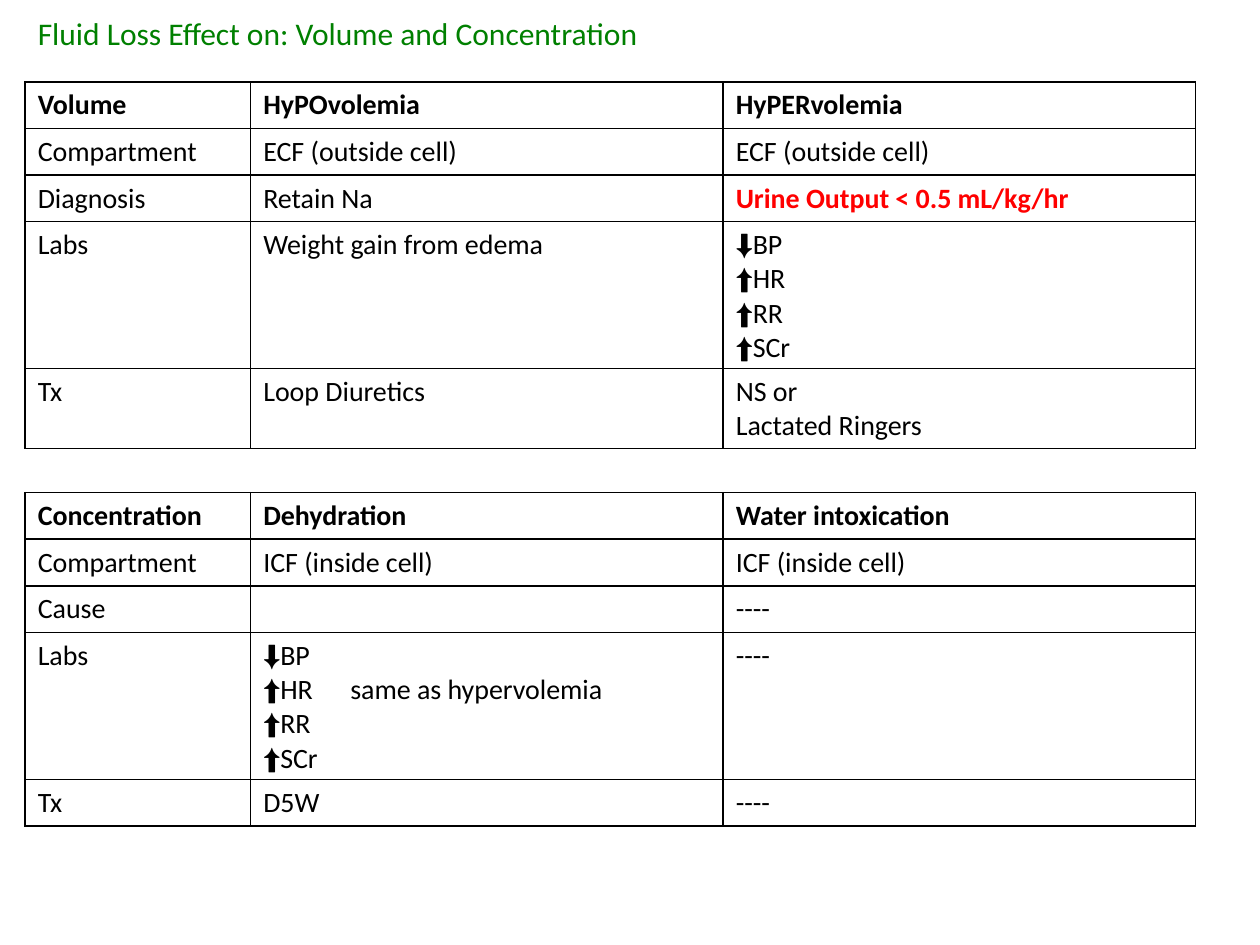
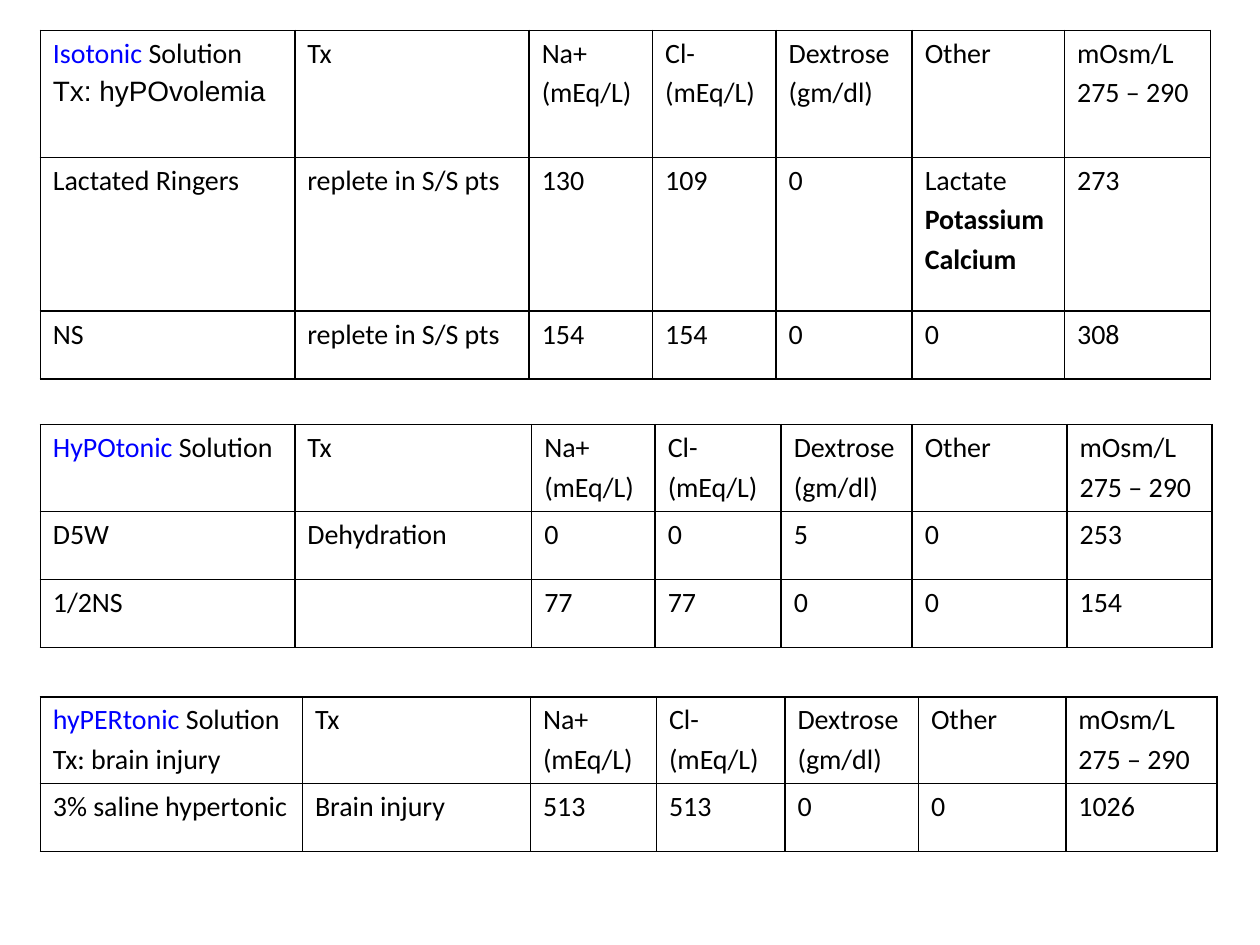
from dataclasses import dataclass
from lxml import etree
from pptx import Presentation
from pptx.dml.color import RGBColor
from pptx.enum.text import MSO_ANCHOR, MSO_AUTO_SIZE, PP_ALIGN
from pptx.oxml.ns import qn
from pptx.util import Inches, Pt

TOP = MSO_ANCHOR.TOP
LEFT = PP_ALIGN.LEFT
FIT = MSO_AUTO_SIZE.SHAPE_TO_FIT_TEXT
TITLE_ONLY, BLANK = 5, 6


@dataclass(frozen=True)
class Theme:
    font: str = "Calibri"
    alt_font: str = "Arial"
    text: str = "000000"
    title: str = "008000"
    accent: str = "0000FF"
    alert: str = "FF0000"
    title_size: float = 18
    body_size: float = 16
    border: float = 1
    tab: float = 0.69


@dataclass(frozen=True)
class Span:
    text: str
    color: str = None
    bold: bool = None
    font: str = None


THEME = Theme()


def set_font(font, name=None, color=None, bold=None, size=None):
    if name:
        font.name = name
    if color:
        font.color.rgb = RGBColor.from_string(color)
    if bold is not None:
        font.bold = bold
    if size:
        font.size = Pt(size)


class Deck:
    def __init__(self, theme):
        self.theme = theme
        self.prs = Presentation()
        self.prs.slide_width, self.prs.slide_height = Inches(10), Inches(7.5)
        self.slide = None

    def add_slide(self, layout):
        self.slide = self.prs.slides.add_slide(self.prs.slide_layouts[layout])

    def title(self, text, left, top, width, height):
        t = self.theme
        sp = self.slide.shapes.title
        sp.left, sp.top = Inches(left), Inches(top)
        sp.width, sp.height = Inches(width), Inches(height)
        tf = sp.text_frame
        tf.text = text
        tf.word_wrap = False
        tf.auto_size = FIT
        tf.vertical_anchor = TOP
        p = tf.paragraphs[0]
        p.alignment = LEFT
        set_font(p.font, t.font, t.title, False, t.title_size)

    def table(self, left, top, widths, heights, rows, gap=0, bold_header=False):
        frame = self.slide.shapes.add_table(
            len(rows), len(widths), Inches(left), Inches(top),
            Inches(sum(widths)), Inches(sum(heights)))
        tbl = frame.table
        tbl.first_row = tbl.horz_banding = False
        for column, width in zip(tbl.columns, widths):
            column.width = Inches(width)
        for i, (row, height) in enumerate(zip(rows, heights)):
            tbl.rows[i].height = Inches(height)
            for j, content in enumerate(row):
                self.cell(tbl.cell(i, j), content, gap, bold_header and i == 0)

    def cell(self, cell, content, gap, bold):
        cell.fill.background()
        cell.vertical_anchor = TOP
        self.borders(cell)
        tf = cell.text_frame
        paragraphs = content if isinstance(content, list) else [content]
        for i, paragraph in enumerate(paragraphs):
            p = tf.add_paragraph() if i else tf.paragraphs[0]
            if i and gap:
                p.space_before = Pt(gap)
            self.paragraph(p, paragraph, bold)

    def paragraph(self, p, content, bold):
        t = self.theme
        spans = content if isinstance(content, tuple) else (content,)
        spans = [Span(s) if isinstance(s, str) else s for s in spans]
        if any("\t" in s.text for s in spans):
            tabs = etree.SubElement(p._p.get_or_add_pPr(), qn("a:tabLst"))
            etree.SubElement(tabs, qn("a:tab"), pos=str(Inches(t.tab)), algn="l")
        set_font(p.font, t.font, t.text, bold, t.body_size)
        for s in spans:
            if not s.text:
                continue
            r = p.add_run()
            r.text = s.text
            if len(spans) == 1:
                set_font(p.font, s.font, s.color, s.bold)
            else:
                set_font(r.font, s.font, s.color, s.bold)

    def borders(self, cell):
        tcPr = cell._tc.get_or_add_tcPr()
        for i, side in enumerate(("lnL", "lnR", "lnT", "lnB")):
            ln = etree.Element(qn(f"a:{side}"), w=str(Pt(self.theme.border)))
            fill = etree.SubElement(ln, qn("a:solidFill"))
            etree.SubElement(fill, qn("a:srgbClr"), val=self.theme.text)
            tcPr.insert(i, ln)


def vital_signs(note=""):
    up = Span("⬆", font=THEME.alt_font)
    return ["⬇BP", (up, "HR" + note), (up, "RR"), (up, "SCr")]


def solution_header(*name):
    return [list(name), "Tx", ["Na+", "(mEq/L)"], ["Cl-", "(mEq/L)"],
            ["Dextrose", "(gm/dl)"], "Other", ["mOsm/L", "275 – 290"]]


def fluid_loss_slide(deck):
    deck.add_slide(TITLE_ONLY)
    deck.title("Fluid Loss Effect on: Volume and Concentration", 0.2, 0.06, 5.04, 0.4)
    widths = [1.79, 3.75, 3.75]
    line, labs = 0.37, 1.16
    volume = [
        ["Volume", "HyPOvolemia", "HyPERvolemia"],
        ["Compartment", "ECF (outside cell)", "ECF (outside cell)"],
        ["Diagnosis", "Retain Na",
         Span("Urine Output < 0.5 mL/kg/hr", THEME.alert, True)],
        ["Labs", "Weight gain from edema", vital_signs()],
        ["Tx", "Loop Diuretics", ["NS or", "Lactated Ringers"]],
    ]
    concentration = [
        ["Concentration", "Dehydration", "Water intoxication"],
        ["Compartment", "ICF (inside cell)", "ICF (inside cell)"],
        ["Cause", "", "----"],
        ["Labs", vital_signs("\tsame as hypervolemia"), "----"],
        ["Tx", "D5W", "----"],
    ]
    for top, rows, last in ((0.65, volume, 0.63), (3.91, concentration, line)):
        deck.table(0.2, top, widths, [line] * 3 + [labs, last], rows, bold_header=True)


def solutions_slide(deck):
    deck.add_slide(BLANK)
    left, gap, header, row = 0.32, 3, 0.69, 0.54
    isotonic = [
        solution_header((Span("Isotonic", THEME.accent), " Solution"),
                        Span("Tx: hyPOvolemia", font=THEME.alt_font)),
        ["Lactated Ringers", "replete in S/S pts", "130", "109", "0",
         ["Lactate", Span("Potassium", bold=True), Span("Calcium", bold=True)], "273"],
        ["NS", "replete in S/S pts", "154", "154", "0", "0", "308"],
    ]
    hypotonic = [
        solution_header((Span("HyPOtonic ", THEME.accent), "Solution")),
        ["D5W", "Dehydration", "0", "0", "5", "0", "253"],
        ["1/2NS", "", "77", "77", "0", "0", "154"],
    ]
    hypertonic = [
        solution_header((Span("hyPERtonic ", THEME.accent), "Solution"),
                        "Tx: brain injury"),
        ["3% saline hypertonic", "Brain injury", "513", "513", "0", "0", "1026"],
    ]
    deck.table(left, 0.24, [2.02, 1.86, 0.98, 0.98, 1.08, 1.21, 1.16],
               [1.01, 1.22, row], isotonic, gap)
    deck.table(left, 3.37, [2.02, 1.88, 0.98, 1, 1.04, 1.23, 1.15],
               [header, row, row], hypotonic, gap)
    deck.table(left, 5.53, [2.08, 1.81, 1, 1.02, 1.06, 1.17, 1.2],
               [header, row], hypertonic, gap)


def main():
    deck = Deck(THEME)
    fluid_loss_slide(deck)
    solutions_slide(deck)
    deck.prs.save("out.pptx")


if __name__ == "__main__":
    main()
